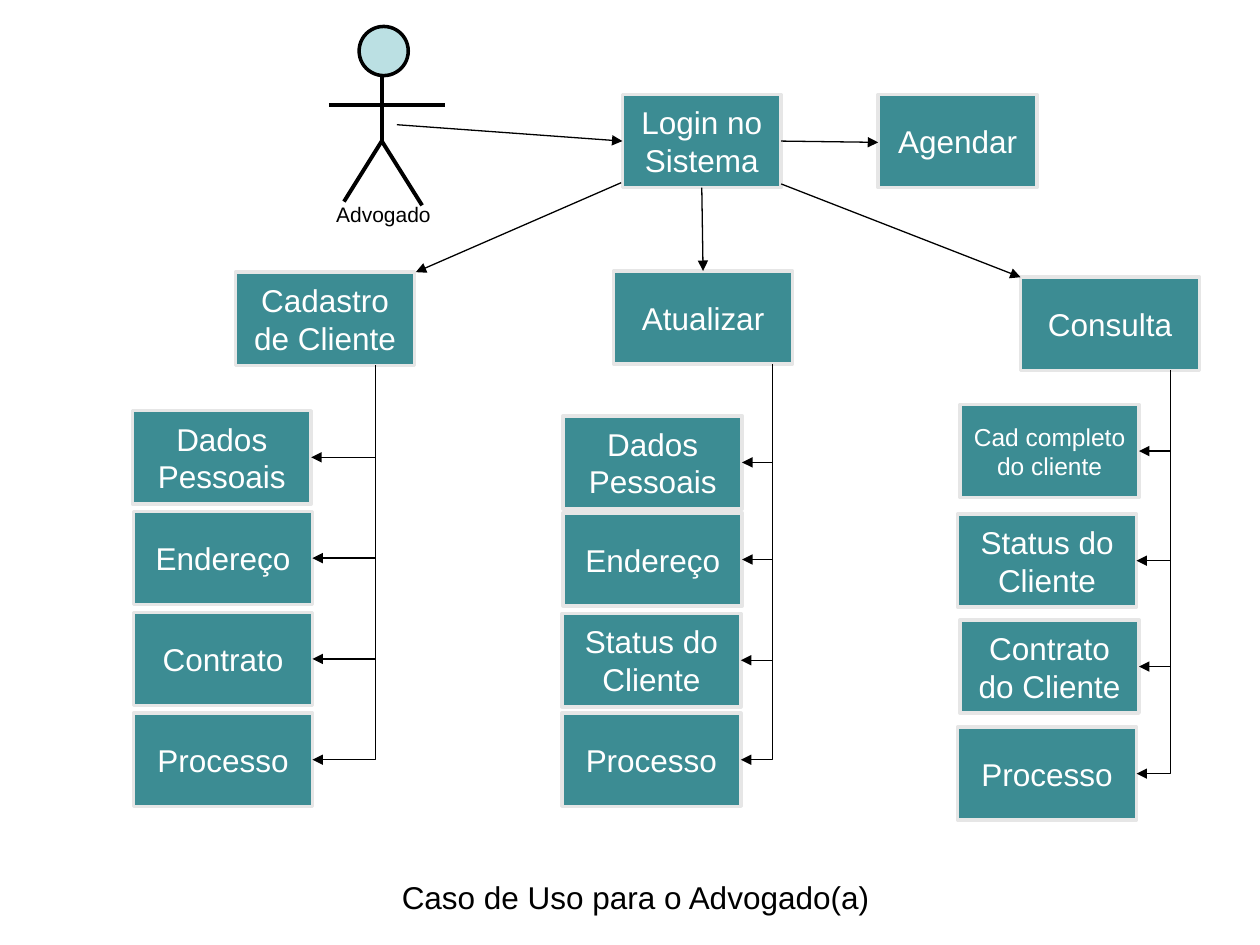
"""Build the use case diagram slide for the lawyer role."""
from dataclasses import dataclass

from lxml import etree
from pptx import Presentation
from pptx.dml.color import RGBColor
from pptx.enum.shapes import MSO_CONNECTOR, MSO_SHAPE
from pptx.enum.text import MSO_ANCHOR, MSO_AUTO_SIZE, PP_ALIGN
from pptx.oxml.ns import qn
from pptx.util import Inches, Pt

RECTANGLE, OVAL = MSO_SHAPE.RECTANGLE, MSO_SHAPE.OVAL
STRAIGHT, ELBOW = MSO_CONNECTOR.STRAIGHT, MSO_CONNECTOR.ELBOW
LEFT, CENTER = PP_ALIGN.LEFT, PP_ALIGN.CENTER
MIDDLE = MSO_ANCHOR.MIDDLE
FIT_SHAPE = MSO_AUTO_SIZE.SHAPE_TO_FIT_TEXT

FONT = "Arial"
BLACK, WHITE = "000000", "FFFFFF"
TEAL, PALE_GREY, PALE_BLUE = "3C8C93", "E6E6E6", "BBE0E3"
ACTION_WIDTH, ENTRY_WIDTH, BOX_HEIGHT = 1.42, 1.26, 0.74


@dataclass(frozen=True)
class Box:
    text: str
    left: float
    top: float
    width: float = ACTION_WIDTH
    size: float = 18


@dataclass(frozen=True)
class Branch:
    action: Box
    trunk: float
    details: tuple[Box, ...]


@dataclass(frozen=True)
class Segment:
    start: tuple[float, float]
    end: tuple[float, float]
    weight: float = 0.75
    arrow: bool = True


ENTRIES = (
    Box("Login no Sistema", 4.94, 0.75, ENTRY_WIDTH),
    Box("Agendar", 6.97, 0.75, ENTRY_WIDTH),
)

BRANCHES = (
    Branch(Box("Cadastro de Cliente", 1.87, 2.16), 2.98, (
        Box("Dados Pessoais", 1.05, 3.26),
        Box("Endereço", 1.06, 4.06),
        Box("Contrato", 1.06, 4.86),
        Box("Processo", 1.06, 5.66),
    )),
    Branch(Box("Atualizar", 4.87, 2.15), 6.13, (
        Box("Dados Pessoais", 4.47, 3.3),
        Box("Endereço", 4.47, 4.07),
        Box("Status do Cliente", 4.46, 4.87),
        Box("Processo", 4.46, 5.66),
    )),
    Branch(Box("Consulta", 8.1, 2.2), 9.29, (
        Box("Cad completo do cliente", 7.62, 3.21, size=14),
        Box("Status do Cliente", 7.6, 4.08),
        Box("Contrato do Cliente", 7.62, 4.92),
        Box("Processo", 7.6, 5.77),
    )),
)

FLOWS = (
    Segment((3.15, 0.99), (4.94, 1.12)),
    Segment((6.2, 1.12), (6.97, 1.13)),
    Segment((4.93, 1.45), (3.3, 2.16)),
    Segment((5.57, 1.49), (5.58, 2.15)),
    Segment((6.2, 1.46), (8.1, 2.2)),
)

LIMBS = (
    Segment((3.03, 0.6), (3.03, 1.12), 2.25, False),
    Segment((2.61, 0.83), (3.53, 0.83), 2.25, False),
    Segment((3.03, 1.12), (3.35, 1.63), 2.25, False),
    Segment((3.03, 1.12), (2.73, 1.6), 2.25, False),
)


def rgb(color: str) -> RGBColor:
    """Turn a hex string into a colour."""
    return RGBColor.from_string(color)


def write(frame, text: str, *, size: float, color: str = BLACK, align=LEFT) -> None:
    """Put one formatted paragraph into a text frame."""
    paragraph = frame.paragraphs[0]
    paragraph.alignment = align
    run = paragraph.add_run()
    run.text = text
    run.font.name = FONT
    run.font.size = Pt(size)
    run.font.color.rgb = rgb(color)


def add_outlined(slide, kind, bounds: tuple[float, ...], fill: str, outline: str):
    """Add a filled preset shape with a two point outline."""
    shape = slide.shapes.add_shape(kind, *map(Inches, bounds))
    shape.shadow.inherit = False
    shape.fill.solid()
    shape.fill.fore_color.rgb = rgb(fill)
    shape.line.color.rgb = rgb(outline)
    shape.line.width = Pt(2)
    return shape


def add_box(slide, box: Box) -> None:
    """Add a labelled use case box."""
    bounds = (box.left, box.top, box.width, BOX_HEIGHT)
    frame = add_outlined(slide, RECTANGLE, bounds, TEAL, PALE_GREY).text_frame
    frame.word_wrap = True
    frame.vertical_anchor = MIDDLE
    write(frame, box.text, size=box.size, color=WHITE, align=CENTER)


def add_segment(slide, segment: Segment, kind=STRAIGHT):
    """Add a black connector, with an arrowhead at its end if asked."""
    points = map(Inches, segment.start + segment.end)
    connector = slide.shapes.add_connector(kind, *points)
    connector.line.color.rgb = rgb(BLACK)
    connector.line.width = Pt(segment.weight)
    if segment.arrow:
        outline = connector.line._get_or_add_ln()
        etree.SubElement(outline, qn("a:tailEnd"), type="triangle")
    etree.SubElement(connector._element.spPr, qn("a:effectLst"))
    return connector


def add_elbow(slide, start: tuple[float, float], end: tuple[float, float]) -> None:
    """Add an arrow that runs down from start and then left to end."""
    middle_x, middle_y = (start[0] + end[0]) / 2, (start[1] + end[1]) / 2
    half_drop, half_reach = (end[1] - start[1]) / 2, (start[0] - end[0]) / 2
    unrotated = Segment((middle_x - half_drop, middle_y - half_reach),
                        (middle_x + half_drop, middle_y + half_reach))
    properties = add_segment(slide, unrotated, ELBOW)._element.spPr
    properties.find(qn("a:xfrm")).set("rot", "5400000")
    properties.find(qn("a:prstGeom")).set("prst", "bentConnector2")


def add_branch(slide, branch: Branch) -> None:
    """Add an action, its details and the arrows between them."""
    add_box(slide, branch.action)
    trunk_start = (branch.trunk, branch.action.top + BOX_HEIGHT)
    for detail in branch.details:
        add_box(slide, detail)
        target = (detail.left + detail.width, detail.top + BOX_HEIGHT / 2)
        add_elbow(slide, trunk_start, target)


def add_caption(slide, text: str, bounds: tuple[float, ...], size: float) -> None:
    """Add a text box of one unwrapped line."""
    frame = slide.shapes.add_textbox(*map(Inches, bounds)).text_frame
    frame.word_wrap = False
    frame.auto_size = FIT_SHAPE
    write(frame, text, size=size)


def main() -> None:
    """Build and save the slide."""
    deck = Presentation()
    deck.slide_width, deck.slide_height = Inches(10), Inches(7.5)
    slide = deck.slides.add_slide(deck.slide_layouts[6])
    for entry in ENTRIES:
        add_box(slide, entry)
    for branch in BRANCHES:
        add_branch(slide, branch)
    add_outlined(slide, OVAL, (2.85, 0.21, 0.39, 0.39), PALE_BLUE, BLACK)
    for segment in LIMBS + FLOWS:
        add_segment(slide, segment)
    add_caption(slide, "Advogado", (2.57, 1.55, 0.96, 0.3), 12)
    add_caption(slide, "Caso de Uso para o Advogado(a)", (3.09, 6.92, 3.95, 0.4), 18)
    deck.save("out.pptx")


main()
